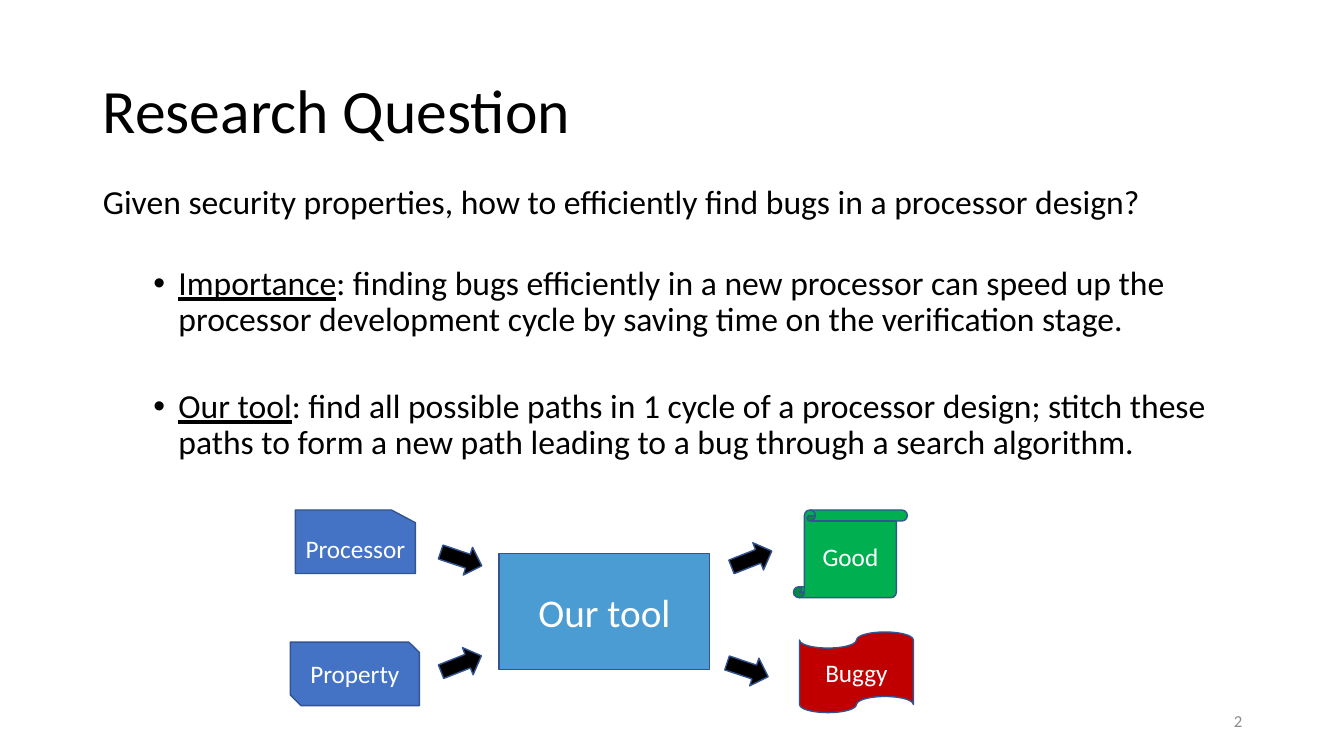
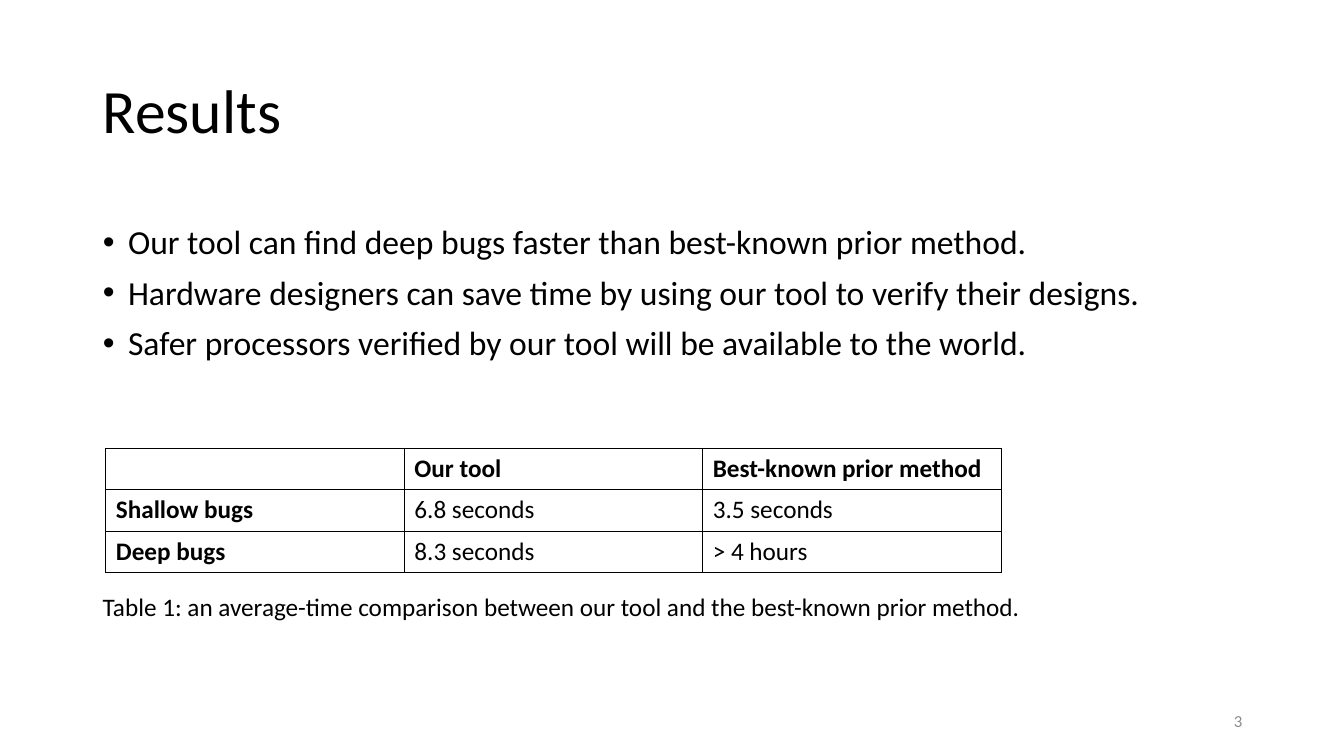
import pptx
import pptx.dml.color
import pptx.enum.shapes
import pptx.enum.text
import pptx.oxml
import pptx.oxml.ns
import pptx.util

Inches = pptx.util.Inches
Pt = pptx.util.Pt
MSO = pptx.enum.shapes.MSO_SHAPE
ALIGN = pptx.enum.text.PP_ALIGN
ANCHOR = pptx.enum.text.MSO_ANCHOR
qn = pptx.oxml.ns.qn

FONT = "Calibri"
BLACK, WHITE, GREY = "000000", "FFFFFF", "8C8C8C"
BLUE, SKY, GREEN, RED, OUTLINE = "4472C4", "4B9CD3", "00B050", "C00000", "325491"


def rgb(color):
    """Turn a hex string into a colour."""
    return pptx.dml.color.RGBColor.from_string(color)


def style(p, size, color=BLACK, bold=False, align=ALIGN.LEFT):
    """Format every run of a paragraph."""
    p.alignment = align
    for r in p.runs:
        r.font.name = FONT
        r.font.size = Pt(size)
        r.font.bold = bold
        r.font.color.rgb = rgb(color)


def place(sp, left, top, width, height):
    """Move and size a shape, in inches."""
    sp.left, sp.top = Inches(left), Inches(top)
    sp.width, sp.height = Inches(width), Inches(height)


def add_text(slide, text, left, top, width, size, color=BLACK, align=ALIGN.LEFT):
    """Add a one-line text box."""
    sp = slide.shapes.add_textbox(Inches(left), Inches(top), Inches(width), Inches(0.4))
    tf = sp.text_frame
    tf.word_wrap = True
    tf.vertical_anchor = ANCHOR.MIDDLE
    tf.text = text
    style(tf.paragraphs[0], size, color, align=align)


def add_slide(prs, title, number):
    """Add a slide with its title and page number."""
    slide = prs.slides.add_slide(prs.slide_layouts[1])
    sp = slide.shapes.title
    place(sp, 0.92, 0.4, 11.5, 1.45)
    tf = sp.text_frame
    tf.text = title
    tf.auto_size = pptx.enum.text.MSO_AUTO_SIZE.NONE
    tf.vertical_anchor = ANCHOR.MIDDLE
    tf.paragraphs[0].line_spacing = 0.9
    style(tf.paragraphs[0], 44)
    add_text(slide, str(number), 9.42, 6.95, 3, 12, GREY, ALIGN.RIGHT)
    return slide


def set_bullet(p, margin):
    """Give a paragraph a hanging bullet, or none when the margin is zero."""
    pPr = p._p.get_or_add_pPr()
    pPr.set("marL", str(Inches(margin)))
    pPr.set("indent", str(-Inches(0.25) if margin else 0))
    tag = 'a:buChar char="•"' if margin else "a:buNone"
    pPr.append(pptx.oxml.parse_xml(f"<{tag} {pptx.oxml.ns.nsdecls('a')}/>"))


def fill_body(slide, box, items):
    """Fill the body with (underlined lead, text, level, margin, space before) items."""
    sp = slide.placeholders[1]
    place(sp, *box)
    tf = sp.text_frame
    tf.auto_size = pptx.enum.text.MSO_AUTO_SIZE.NONE
    for i, (lead, text, level, margin, space) in enumerate(items):
        p = tf.add_paragraph() if i else tf.paragraphs[0]
        if lead:
            r = p.add_run()
            r.text = lead
            r.font.underline = True
        p.add_run().text = text
        p.level = level
        p.line_spacing = 0.9
        p.space_before = Pt(space)
        style(p, 24)
        set_bullet(p, margin)


def add_shape(slide, kind, box, fill, text="", size=18):
    """Add an outlined shape with a centred label."""
    sp = slide.shapes.add_shape(kind, *map(Inches, box))
    sp.shadow.inherit = False
    sp.fill.solid()
    sp.fill.fore_color.rgb = rgb(fill)
    sp.line.color.rgb = rgb(OUTLINE)
    sp.line.width = Pt(1)
    if text:
        tf = sp.text_frame
        tf.word_wrap = False
        tf.margin_left = tf.margin_right = tf.margin_top = tf.margin_bottom = 0
        tf.vertical_anchor = ANCHOR.MIDDLE
        tf.text = text
        style(tf.paragraphs[0], size, WHITE, align=ALIGN.CENTER)
    return sp


def set_borders(cell):
    """Draw a thin black border on all sides of a cell."""
    tcPr = cell._tc.get_or_add_tcPr()
    for i, side in enumerate(("lnL", "lnR", "lnT", "lnB")):
        tcPr.insert(i, pptx.oxml.parse_xml(
            f'<a:{side} {pptx.oxml.ns.nsdecls("a")} w="{Pt(1)}"><a:solidFill>'
            f'<a:srgbClr val="{BLACK}"/></a:solidFill></a:{side}>'))


def add_table(slide, rows, left, top, col_width, row_height):
    """Add a plain grid with bold first row and column."""
    n, m = len(rows), len(rows[0])
    table = slide.shapes.add_table(n, m, Inches(left), Inches(top),
                                   Inches(col_width * m), Inches(row_height * n)).table
    table.first_row = table.horz_banding = False
    for i, row in enumerate(rows):
        table.rows[i].height = Inches(row_height)
        for j, text in enumerate(row):
            cell = table.cell(i, j)
            cell.fill.background()
            set_borders(cell)
            cell.text = text
            style(cell.text_frame.paragraphs[0], 18, bold=i == 0 or j == 0)


def build_question(prs):
    """Build the research question slide with its flow diagram."""
    slide = add_slide(prs, "Research Question", 2)
    fill_body(slide, (0.92, 1.79, 11.26, 4.91), [
        ("", "Given security properties, how to efficiently find bugs in a processor design?",
         0, 0, 10),
        ("Importance", ": finding bugs efficiently in a new processor can speed up the "
         "processor development cycle by saving time on the verification stage.", 1, 0.75, 32),
        ("Our tool", ": find all possible paths in 1 cycle of a processor design; stitch these "
         "paths to form a new path leading to a bug through a search algorithm.", 1, 0.75, 36),
    ])
    card = add_shape(slide, MSO.FLOWCHART_CARD, (2.93, 5.06, 1.19, 0.63), BLUE, "Processor")
    card._element.spPr.find(qn("a:xfrm")).set("flipH", "1")
    add_shape(slide, MSO.SNIP_2_DIAG_RECTANGLE, (2.88, 6.37, 1.28, 0.63), BLUE, "Property")
    add_shape(slide, MSO.RECTANGLE, (4.95, 5.49, 2.09, 1.15), SKY, "Our tool", 28)
    add_shape(slide, MSO.VERTICAL_SCROLL, (7.87, 5.06, 1.13, 0.87), GREEN, "Good")
    add_shape(slide, MSO.FLOWCHART_PUNCHED_TAPE, (7.93, 6.27, 1.13, 0.8), RED, "Buggy")
    for left, top, angle in ((4.36, 5.4, 18.5), (4.36, 6.44, -21.5),
                             (7.24, 5.4, -21.5), (7.2, 6.5, 18.5)):
        arrow = add_shape(slide, MSO.RIGHT_ARROW, (left, top, 0.43, 0.29), BLACK)
        arrow.rotation = angle


def build_results(prs):
    """Build the results slide with its comparison table."""
    slide = add_slide(prs, "Results", 3)
    points = ("Our tool can find deep bugs faster than best-known prior method.",
              "Hardware designers can save time by using our tool to verify their designs.",
              "Safer processors verified by our tool will be available to the world.")
    fill_body(slide, (0.92, 2.19, 12.08, 4.91), [("", text, 0, 0.25, 10) for text in points])
    add_table(slide, [("", "Our tool", "Best-known prior method"),
                      ("Shallow bugs", "6.8 seconds", "3.5 seconds"),
                      ("Deep bugs", "8.3 seconds", "> 4 hours")], 1.05, 4.45, 2.96, 0.41)
    add_text(slide, "Table 1: an average-time comparison between our tool and the "
             "best-known prior method.", 0.92, 5.82, 9.45, 18)


def main():
    """Build and save the presentation."""
    prs = pptx.Presentation()
    prs.slide_width, prs.slide_height = Inches(13.33), Inches(7.5)
    build_question(prs)
    build_results(prs)
    prs.save("out.pptx")


if __name__ == "__main__":
    main()
